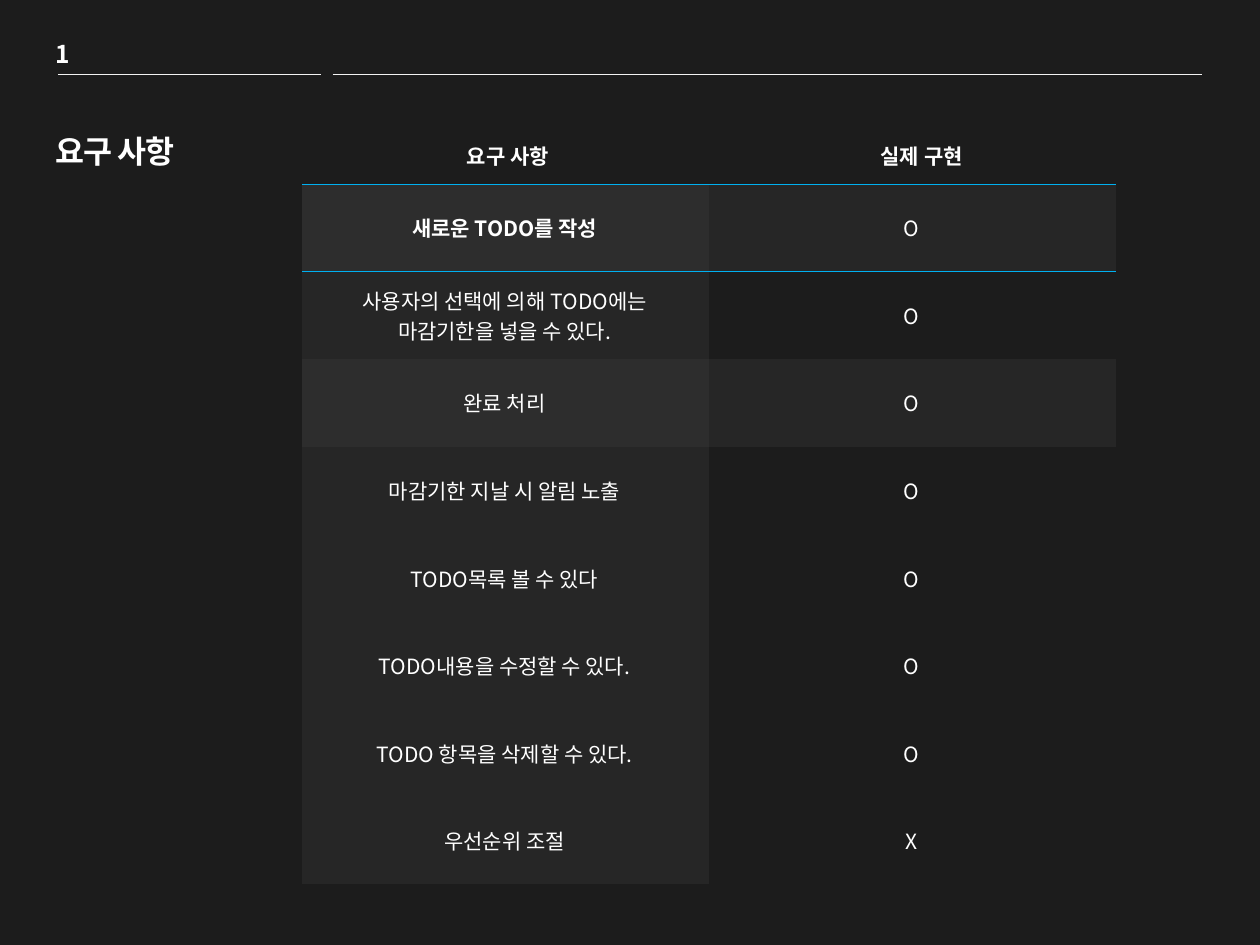
from dataclasses import dataclass

from lxml.etree import SubElement
from pptx import Presentation
from pptx.dml.color import RGBColor
from pptx.enum.shapes import MSO_CONNECTOR as Connector
from pptx.enum.text import MSO_ANCHOR as Anchor, MSO_AUTO_SIZE as AutoSize, PP_ALIGN as Align
from pptx.oxml import parse_xml
from pptx.oxml.ns import nsdecls, qn
from pptx.util import Inches, Pt


@dataclass(frozen=True)
class Theme:
    font: str = "Noto Sans CJK KR"
    background: str = "1C1C1C"
    text: str = "FFFFFF"
    rule: str = "F2F2F2"
    accent: str = "00B0F0"
    band: str = "2D2D2D"
    panel: str = "262626"
    title_size: int = 18
    number_size: int = 14
    table_size: int = 12
    hairline: float = 0.25


THEME = Theme()
WIDTH, HEIGHT = 10, 7.5
NO_TABLE_STYLE = "{2D5ABB26-0587-4C30-8999-92F81FD0307C}"
HEADINGS = ("요구 사항", "실제 구현")
HEADING_INSETS = (0.13, 0.24)
REQUIREMENTS = (
    ("새로운 TODO를 작성", "O"),
    ("사용자의 선택에 의해 TODO에는 마감기한을 넣을 수 있다.", "O"),
    ("완료 처리", "O"),
    ("마감기한 지날 시 알림 노출", "O"),
    ("TODO목록 볼 수 있다", "O"),
    ("TODO내용을 수정할 수 있다.", "O"),
    ("TODO 항목을 삭제할 수 있다.", "O"),
    ("우선순위 조절", "X"),
)
BANDED_ROWS = (1, 3)


def color(value):
    return RGBColor.from_string(value)


def write(frame, text, size, bold=False, align=Align.LEFT, spacing=None):
    """Put one formatted paragraph into a text frame."""
    paragraph = frame.paragraphs[0]
    paragraph.alignment = align
    run = paragraph.add_run()
    run.text = text
    run.font.size = Pt(size)
    run.font.bold = bold
    run.font.name = THEME.font
    run.font.color.rgb = color(THEME.text)
    properties = run.font._element
    SubElement(properties, qn("a:ea")).set("typeface", THEME.font)
    if spacing is not None:
        properties.set("spc", str(round(spacing * 100)))


def add_rule(slide, left, right, top):
    line = slide.shapes.add_connector(
        Connector.STRAIGHT, Inches(left), Inches(top), Inches(right), Inches(top))
    line.line.color.rgb = color(THEME.rule)
    line.line.width = Pt(THEME.hairline)
    SubElement(line._element.spPr, qn("a:effectLst"))


def add_header(slide, left, top, width, height):
    """Page number above a short and a long rule."""
    number = slide.shapes.add_textbox(
        Inches(left), Inches(top), Inches(0.31), Inches(height))
    number.text_frame.word_wrap = False
    number.text_frame.auto_size = AutoSize.SHAPE_TO_FIT_TEXT
    write(number.text_frame, "1", THEME.number_size, bold=True, spacing=-0.5)

    rule_left, rule_top, gap = left + 0.12, top + 0.33, 0.09
    split = rule_left + 2.09
    add_rule(slide, rule_left, split, rule_top)
    add_rule(slide, split + gap, left + width, rule_top)


def add_title(slide, left, top, width, height):
    title = slide.shapes.title
    title.left, title.top = Inches(left), Inches(top)
    title.width, title.height = Inches(width), Inches(height)
    frame = title.text_frame
    frame.vertical_anchor = Anchor.TOP
    frame.word_wrap = True
    frame.auto_size = AutoSize.NONE
    write(frame, "요구 사항", THEME.title_size, bold=True, spacing=-0.5)


def add_border(cell, side):
    border = parse_xml(
        f'<a:{side} {nsdecls("a")} w="{Pt(THEME.hairline)}"><a:solidFill>'
        f'<a:srgbClr val="{THEME.accent}"/></a:solidFill></a:{side}>')
    cell._tc.get_or_add_tcPr().insert(0, border)


def cell_fill(row, column):
    if row == 0:
        return None
    if row in BANDED_ROWS:
        return (THEME.band, THEME.panel)[column]
    return (THEME.panel, None)[column]


def format_cell(cell, row, column, text):
    cell.vertical_anchor = Anchor.MIDDLE
    cell.margin_left = Inches(HEADING_INSETS[column] if row == 0 else 0.08)
    cell.margin_right = Inches(0.1)
    cell.margin_top = cell.margin_bottom = Inches(0.05)
    fill = cell_fill(row, column)
    if fill:
        cell.fill.solid()
        cell.fill.fore_color.rgb = color(fill)
    else:
        cell.fill.background()
    # The accent line runs between the headings and the first requirement
    if row < 2:
        add_border(cell, ("lnB", "lnT")[row])
    bold = row == 0 or (row, column) == (1, 0)
    write(cell.text_frame, text, THEME.table_size, bold=bold, align=Align.CENTER)


def add_requirements(slide, left, top, width, height):
    """Requirement table: a heading row above equal rows."""
    rows = (HEADINGS, *REQUIREMENTS)
    table = slide.shapes.add_table(
        len(rows), len(HEADINGS), Inches(left), Inches(top),
        Inches(width), Inches(height)).table
    table.first_row = table.horz_banding = False
    table._tbl.tblPr.find(qn("a:tableStyleId")).text = NO_TABLE_STYLE

    heading_height = 0.45
    row_height = (height - heading_height) / len(REQUIREMENTS)
    for row, texts in enumerate(rows):
        table.rows[row].height = Inches(row_height if row else heading_height)
        for column, text in enumerate(texts):
            format_cell(table.cell(row, column), row, column, text)


def main():
    presentation = Presentation()
    presentation.slide_width, presentation.slide_height = Inches(WIDTH), Inches(HEIGHT)
    slide = presentation.slides.add_slide(
        presentation.slide_layouts.get_by_name("Title Only"))
    slide.background.fill.solid()
    slide.background.fill.fore_color.rgb = color(THEME.background)

    margin = 0.034 * WIDTH
    add_requirements(slide, 0.24 * WIDTH, 1.01, 0.646 * WIDTH, 6.01)
    add_header(slide, margin, 0.26, 0.92 * WIDTH, 0.34)
    add_title(slide, margin, 1, 0.173 * WIDTH, 1.61)
    presentation.save("out.pptx")


if __name__ == "__main__":
    main()
